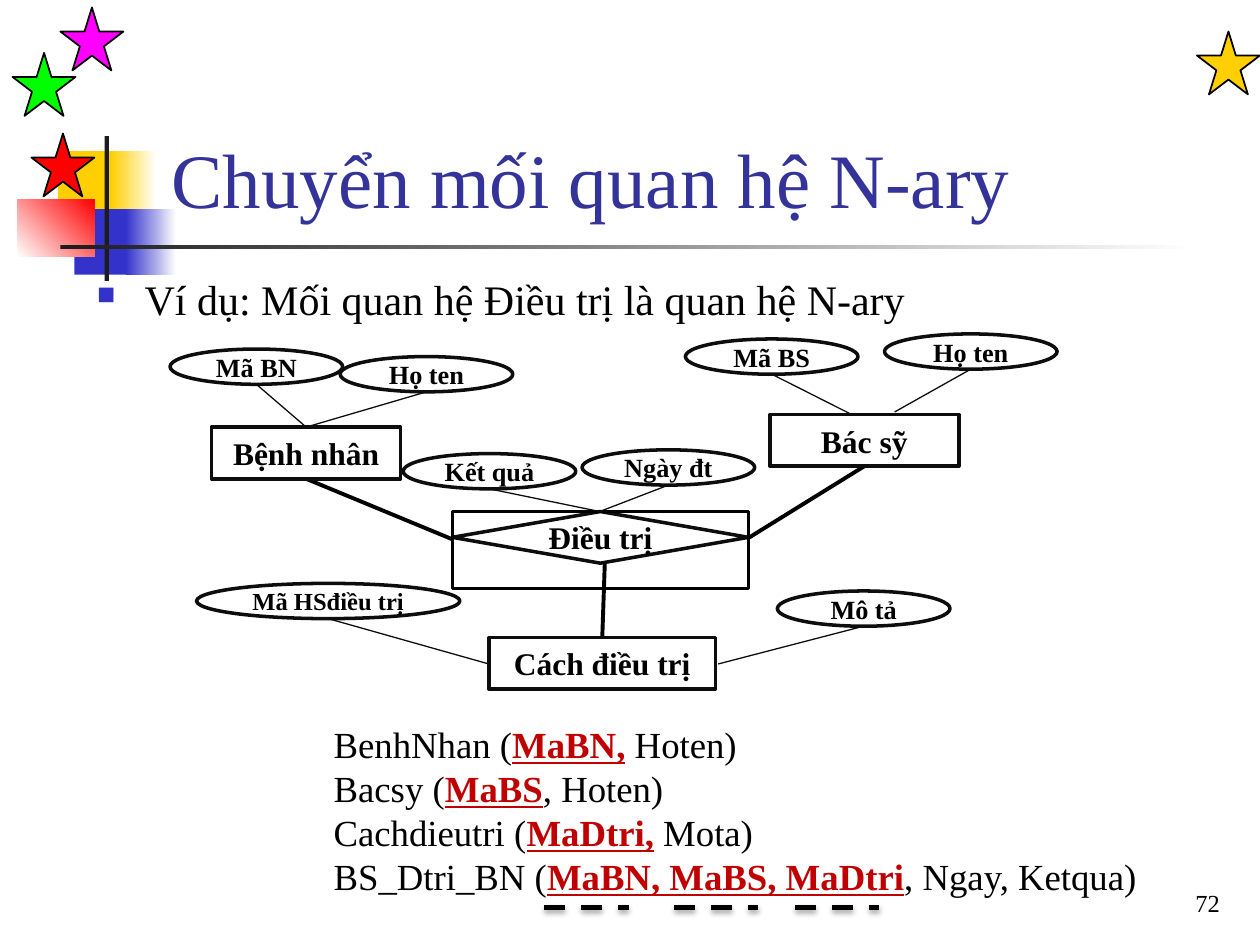
from dataclasses import dataclass

from lxml import etree
from pptx import Presentation
from pptx.dml.color import RGBColor
from pptx.enum.dml import MSO_LINE
from pptx.enum.shapes import MSO_CONNECTOR, MSO_SHAPE
from pptx.enum.text import MSO_ANCHOR, PP_ALIGN
from pptx.oxml.ns import qn
from pptx.util import Inches, Pt

RECT, OVAL = MSO_SHAPE.RECTANGLE, MSO_SHAPE.OVAL
STAR, RHOMB = MSO_SHAPE.STAR_5_POINT, MSO_SHAPE.FLOWCHART_DECISION
LEFT, MID, RIGHT = PP_ALIGN.LEFT, PP_ALIGN.CENTER, PP_ALIGN.RIGHT
TOP, CENTER, BOTTOM = MSO_ANCHOR.TOP, MSO_ANCHOR.MIDDLE, MSO_ANCHOR.BOTTOM
STRAIGHT, DASH = MSO_CONNECTOR.STRAIGHT, MSO_LINE.DASH

COLS, ROWS = 100, 75  # square cells of a tenth of an inch


@dataclass(frozen=True)
class Theme:
    font: str = "Times New Roman"
    black: str = "000000"
    white: str = "FFFFFF"
    ink: str = "0D0D0D"
    dark: str = "1C1C1C"
    gold: str = "FFCF01"
    blue: str = "3333CC"
    red: str = "FF0000"
    green: str = "00FF00"
    pink: str = "FF00FF"
    head: str = "333399"
    key: str = "C00000"
    title: int = 44
    body: int = 24
    code: int = 21
    box: int = 18
    field: int = 15
    small: int = 14


def grid(*cells):
    return [Inches(cell / 10) for cell in cells]


def paint(color, rgb):
    color.rgb = RGBColor.from_string(rgb)


class Board:
    """Holds the theme and the current slide."""

    def __init__(self, slide, theme):
        self.slide, self.theme = slide, theme

    def style(self, run, size, color=None, bold=False):
        font = run.font
        font.name, font.size, font.bold = self.theme.font, Pt(size), bold
        paint(font.color, color or self.theme.black)

    def shape(self, kind, place, fill=None, line=None, width=2, angle=0):
        """Fill is None, one colour, or a pair of colours for a gradient."""
        shape = self.slide.shapes.add_shape(kind, *grid(*place))
        shape.shadow.inherit = False
        if fill is None:
            shape.fill.background()
        elif isinstance(fill, tuple):
            shape.fill.gradient()
            shape.fill.gradient_angle = angle
            for stop, rgb in zip(shape.fill.gradient_stops, fill):
                paint(stop.color, rgb)
        else:
            shape.fill.solid()
            paint(shape.fill.fore_color, fill)
        if line:
            paint(shape.line.color, line)
            shape.line.width = Pt(width)
        else:
            shape.line.fill.background()
        return shape

    def label(self, shape, text, size):
        frame = shape.text_frame
        frame.text, frame.word_wrap = text, False
        frame.vertical_anchor = CENTER
        para = frame.paragraphs[0]
        para.alignment = MID
        self.style(para.runs[0], size, bold=True)

    def entity(self, kind, text, place):
        shape = self.shape(kind, place, self.theme.white, self.theme.ink)
        self.label(shape, text, self.theme.box)

    def field(self, text, left, top, goal, wide=13.7, size=None):
        """An oval whose bottom centre is joined to the goal point."""
        high = 2.8
        self.link((left + wide / 2, top + high), goal, self.theme.ink, 0.75)
        oval = self.shape(OVAL, (left, top, wide, high), line=self.theme.ink)
        self.label(oval, text, size or self.theme.field)

    def link(self, start, end, color, width):
        line = self.slide.shapes.add_connector(STRAIGHT, *grid(*start, *end))
        paint(line.line.color, color)
        line.line.width = Pt(width)
        props = line._element.spPr
        return line, etree.SubElement(props, qn("a:effectLst"))

    def dash(self, left, top, wide):
        line, effects = self.link((left, top), (left + wide, top), self.theme.black, 3)
        line.line.dash_style = DASH
        shade = etree.SubElement(effects, qn("a:outerShdw"), blurRad=str(Pt(3.1)),
                                 dist=str(Pt(1.8)), dir="5400000", rotWithShape="0")
        color = etree.SubElement(shade, qn("a:srgbClr"), val=self.theme.black)
        etree.SubElement(color, qn("a:alpha"), val="35000")

    def title(self, text, place):
        title = self.slide.shapes.title
        title.left, title.top, title.width, title.height = grid(*place)
        title.text_frame.text = text
        title.text_frame.vertical_anchor = BOTTOM
        para = title.text_frame.paragraphs[0]
        para.alignment = LEFT
        self.style(para.runs[0], self.theme.title, self.theme.head)

    def text(self, lines, place, size, anchor=TOP, align=LEFT):
        """Each line is a list of parts; every second part is a key."""
        frame = self.slide.shapes.add_textbox(*grid(*place)).text_frame
        frame.word_wrap, frame.vertical_anchor = True, anchor
        for row, parts in enumerate(lines):
            para = frame.add_paragraph() if row else frame.paragraphs[0]
            para.alignment = align
            for col, part in enumerate(parts):
                run, key = para.add_run(), col % 2 == 1
                run.text = part
                self.style(run, size, self.theme.key if key else None, key)
                run.font.underline = key
        return frame.paragraphs

    def indent(self, para, hang=0):
        props = para._p.get_or_add_pPr()
        props.set("marL", str(Inches(0.38)))
        props.set("indent", str(-Inches(hang)))
        return props

    def bullet(self, para):
        props = self.indent(para, 0.38)
        color = etree.SubElement(props, qn("a:buClr"))
        etree.SubElement(color, qn("a:srgbClr"), val=self.theme.blue)
        etree.SubElement(props, qn("a:buSzPct"), val="60000")
        etree.SubElement(props, qn("a:buChar"), char="■")


def main():
    deck = Presentation()
    deck.slide_width, deck.slide_height = grid(COLS, ROWS)
    look = Theme()
    board = Board(deck.slides.add_slide(deck.slide_layouts[5]), look)

    for place, fill, angle in (
        ((4.6, 12, 4.8, 5.2), look.gold, 0),
        ((8.8, 12, 3.6, 5.2), (look.gold, look.white), 0),
        ((5.9, 16.6, 4.6, 5.2), look.blue, 0),
        ((10, 16.6, 4, 5.2), (look.blue, look.white), 0),
        ((1.4, 15.8, 6.1, 4.6), (look.white, look.red), 45),
        ((8.3, 10.8, 0.35, 11.5), look.dark, 0),
        ((4.8, 19.45, 90, 0.35), (look.dark, look.white), 0),
    ):
        board.shape(RECT, place, fill, angle=angle)
    for left, top, fill in ((95, 2.5, look.gold), (2.5, 10.6, look.red),
                            (1, 4.2, look.green), (4.8, 0.6, look.pink)):
        board.shape(STAR, (left, top, 5, 5), fill, look.black, 1)

    board.title("Chuyển mối quan hệ N-ary", (12.6, 2.3, 85.2, 16))
    intro = board.text([["Ví dụ: Mối quan hệ Điều trị là quan hệ N-ary"]],
                       (6.7, 21.2, 85, 45), look.body)[0]
    intro.space_before = Pt(look.body * 0.2)
    board.bullet(intro)

    for start, end in (((48, 44.7), (47.8, 50.6)), ((24.3, 38), (35.9, 42.8)),
                       ((59.4, 42.7), (68.6, 37))):
        board.link(start, end, look.black, 2.25)
    for kind, text, place in (
        (RECT, "Bệnh nhân", (16.8, 33.9, 15, 4.1)),
        (RECT, "Bác sỹ", (61.1, 32.9, 15, 4.1)),
        (RECT, "Cách điều trị", (38.8, 50.6, 18, 4.1)),
        (RHOMB, "Điều trị", (35.9, 40.6, 23.5, 4.1)),
    ):
        board.entity(kind, text, place)
    board.shape(RECT, (35.9, 40.6, 23.5, 6.1), line=look.black)

    ill, care = (24.3, 33.9), (47.6, 40.6)
    for text, left, top, goal in (
        ("Mã BN", 13.5, 27.7, ill), ("Họ ten", 27, 28.3, ill),
        ("Mã BS", 54.4, 26.9, (67.4, 32.8)), ("Họ ten", 70.2, 26.5, (71, 32.7)),
        ("Kết quả", 32, 36, care), ("Ngày đt", 46.2, 35.7, care),
        ("Mô tả", 61.7, 46.9, (57, 52.7)),
    ):
        board.field(text, left, top, goal)
    board.field("Mã HSđiều trị", 15.6, 46.3, (38.8, 52.7), 20.9, look.small)

    for para in board.text([
        ["BenhNhan (", "MaBN,", " Hoten)"],
        ["Bacsy (", "MaBS", ", Hoten)"],
        ["Cachdieutri (", "MaDtri,", " Mota)"],
        ["BS_Dtri_BN (", "MaBN, MaBS, MaDtri", ", Ngay, Ketqua)"],
    ], (21.7, 56.8, 78.3, 15.1), look.code):
        board.indent(para)
    for left in (43.2, 53.5, 63.1):
        board.dash(left, 72, 6.7)

    board.text([["72"]], (77, 68.3, 20.8, 5), look.small, BOTTOM, RIGHT)
    deck.save("out.pptx")


if __name__ == "__main__":
    main()
